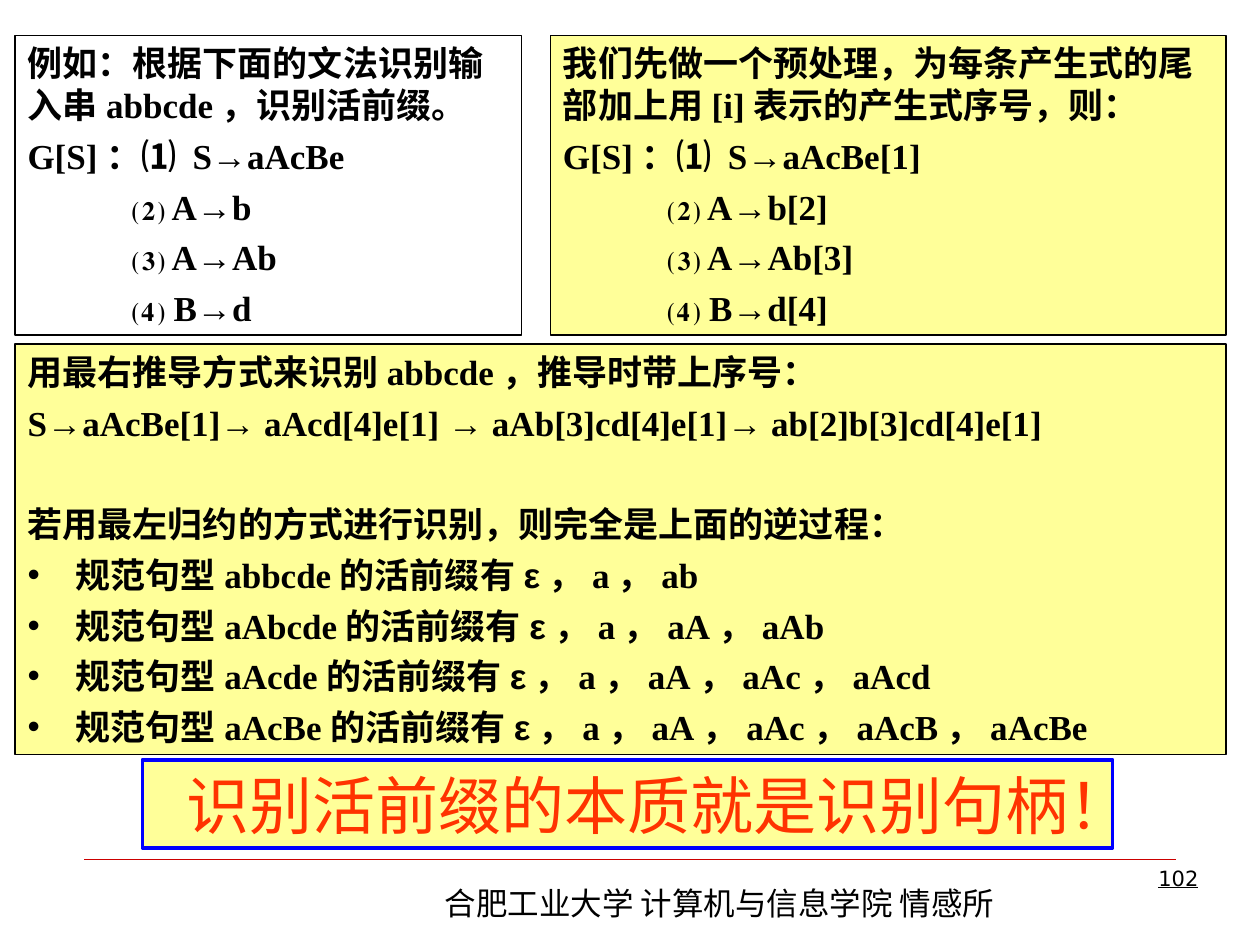
from pptx import Presentation
from pptx.dml.color import RGBColor
from pptx.enum.shapes import MSO_CONNECTOR, MSO_SHAPE
from pptx.enum.text import MSO_ANCHOR, MSO_AUTO_SIZE, PP_ALIGN
from pptx.oxml.ns import qn
from pptx.util import Inches, Pt

LEFT, CENTER, RIGHT = PP_ALIGN.LEFT, PP_ALIGN.CENTER, PP_ALIGN.RIGHT
BLACK = RGBColor(0x00, 0x00, 0x00)
YELLOW = RGBColor(0xFF, 0xFF, 0x99)
BLUE = RGBColor(0x00, 0x00, 0xFF)
ORANGE = RGBColor(0xFF, 0x33, 0x00)
RED = RGBColor(0xCC, 0x00, 0x00)
SERIF, SANS, CJK, NUMBER = "Times New Roman", "Arial", "Noto Sans CJK SC", "DejaVu Sans"

# Content
PROBLEM = "例如：根据下面的文法识别输入串abbcde，识别活前缀。"
PREPARATION = "我们先做一个预处理，为每条产生式的尾部加上用[i]表示的产生式序号，则："
RULES = [("G[S]：⑴ ", "S→aAcBe"), ("⑵ ", "A→b"), ("⑶ ", "A→Ab"), ("⑷ ", "B→d")]
DERIVATION = [
    "用最右推导方式来识别abbcde，推导时带上序号：",
    "S→aAcBe[1]→ aAcd[4]e[1] → aAb[3]cd[4]e[1]→ ab[2]b[3]cd[4]e[1]",
]
REDUCTION = "若用最左归约的方式进行识别，则完全是上面的逆过程："
PREFIXES = {
    "abbcde": ["a", "ab"],
    "aAbcde": ["a", "aA", "aAb"],
    "aAcde": ["a", "aA", "aAc", "aAcd"],
    "aAcBe": ["a", "aA", "aAc", "aAcB", "aAcBe"],
}
CONCLUSION = "识别活前缀的本质就是识别句柄！"
FOOTER = "合肥工业大学 计算机与信息学院 情感所"
PAGE_NUMBER = "102"

# Layout in inches
MARGIN, RIGHT_EDGE, TOP = 0.12, 9.73, 0.28
SPLIT, GAP = 4.14, 0.23
GRAMMAR_HEIGHT, DERIVATION_TOP, DERIVATION_HEIGHT = 2.38, 2.73, 3.26
RULE_INDENT, BULLET_INDENT = 0.83, 0.38
LINE_GAP, SECTION_GAP = 5, 34


def place(shape, left, top, width, height):
    shape.left, shape.top = Inches(left), Inches(top)
    shape.width, shape.height = Inches(width), Inches(height)


def style_box(shape, fill=None, line=None, weight=0.75, wrap=True):
    if fill is None:
        shape.fill.background()
    else:
        shape.fill.solid()
        shape.fill.fore_color.rgb = fill
    if line is not None:
        shape.line.color.rgb = line
        shape.line.width = Pt(weight)
    frame = shape.text_frame
    frame.auto_size = MSO_AUTO_SIZE.NONE
    frame.word_wrap = wrap
    frame.vertical_anchor = MSO_ANCHOR.TOP
    return frame


def add_para(frame, spans, size=20, bold=True, color=BLACK, align=LEFT,
             before=LINE_GAP, indent=0, bullet=False, underline=False):
    """Add one paragraph made of (text, font) spans."""
    first = not frame.paragraphs[0].runs
    para = frame.paragraphs[0] if first else frame.add_paragraph()
    properties = para._p.get_or_add_pPr()
    properties.set("marL", str(Inches(indent)))
    properties.set("indent", str(-Inches(indent) if bullet else 0))
    if bullet:
        properties.makeelement(qn("a:buFont"))
        font = properties.makeelement(qn("a:buFont"), {"typeface": SANS})
        mark = properties.makeelement(qn("a:buChar"), {"char": "•"})
        properties.extend([font, mark])
    else:
        properties.append(properties.makeelement(qn("a:buNone")))
    para.alignment = align
    para.line_spacing = 1.0
    para.space_before = Pt(0 if first else before)
    for text, typeface in spans:
        span = para.add_run()
        span.text = text
        span.font.name, span.font.size = typeface, Pt(size)
        span.font.bold, span.font.underline = bold, underline
        span.font.color.rgb = color
        latin = span.font._element.find(qn("a:latin"))
        latin.addnext(latin.makeelement(qn("a:ea"), {"typeface": CJK}))


def add_grammar(page, left, width, intro, fill=None, numbered=False):
    box = page.shapes.add_shape(MSO_SHAPE.RECTANGLE, 0, 0, 0, 0)
    box.shadow.inherit = False
    place(box, left, TOP, width, GRAMMAR_HEIGHT)
    frame = style_box(box, fill, BLACK)
    add_para(frame, [(intro, SERIF)])
    for number, (label, rule) in enumerate(RULES, 1):
        suffix = f"[{number}]" if numbered else ""
        add_para(frame, [(label + rule + suffix, SERIF)],
                 indent=RULE_INDENT if number > 1 else 0)


def add_label(page, bounds, text, typeface, size, align=LEFT, underline=False):
    box = page.shapes.add_textbox(0, 0, 0, 0)
    place(box, *bounds)
    add_para(style_box(box), [(text, typeface)], size, False,
             align=align, underline=underline)


def main():
    deck = Presentation()
    deck.slide_width, deck.slide_height = Inches(10), Inches(7.5)
    page = deck.slides.add_slide(deck.slide_layouts[1])
    title, body = page.placeholders

    # Footer rule and text
    rule = page.shapes.add_connector(MSO_CONNECTOR.STRAIGHT, Inches(0.67), Inches(6.82),
                                     Inches(9.33), Inches(6.82))
    rule.line.color.rgb, rule.line.width = RED, Pt(0.25)
    rule_properties = rule._element.spPr
    rule_properties.append(rule_properties.makeelement(qn("a:effectLst")))
    add_label(page, (3.43, 6.97, 4.8, 0.4), FOOTER, CJK, 18)

    # Grammar, plain and with rule numbers
    add_grammar(page, MARGIN, SPLIT - MARGIN, PROBLEM)
    second = SPLIT + GAP
    add_grammar(page, second, RIGHT_EDGE - second, PREPARATION, YELLOW, True)

    # Derivation and viable prefixes
    place(body, MARGIN, DERIVATION_TOP, RIGHT_EDGE - MARGIN, DERIVATION_HEIGHT)
    frame = style_box(body, YELLOW, BLACK)
    for text in DERIVATION:
        add_para(frame, [(text, SERIF)])
    add_para(frame, [(REDUCTION, SERIF)], before=SECTION_GAP)
    for sentence, prefixes in PREFIXES.items():
        spans = [(f"规范句型{sentence}的活前缀有", SERIF), ("ε", SANS),
                 ("，" + "，".join(prefixes), SERIF)]
        add_para(frame, spans, indent=BULLET_INDENT, bullet=True)

    # Conclusion
    place(title, 1.13, 6.03, 7.7, 0.7)
    add_para(style_box(title, YELLOW, BLUE, 2, wrap=False), [(CONCLUSION, SANS)],
             36, False, ORANGE, CENTER)

    # Page number
    add_label(page, (7.44, 6.82, 2.17, 0.52), PAGE_NUMBER, NUMBER, 12, RIGHT, True)

    deck.save("out.pptx")


if __name__ == "__main__":
    main()
